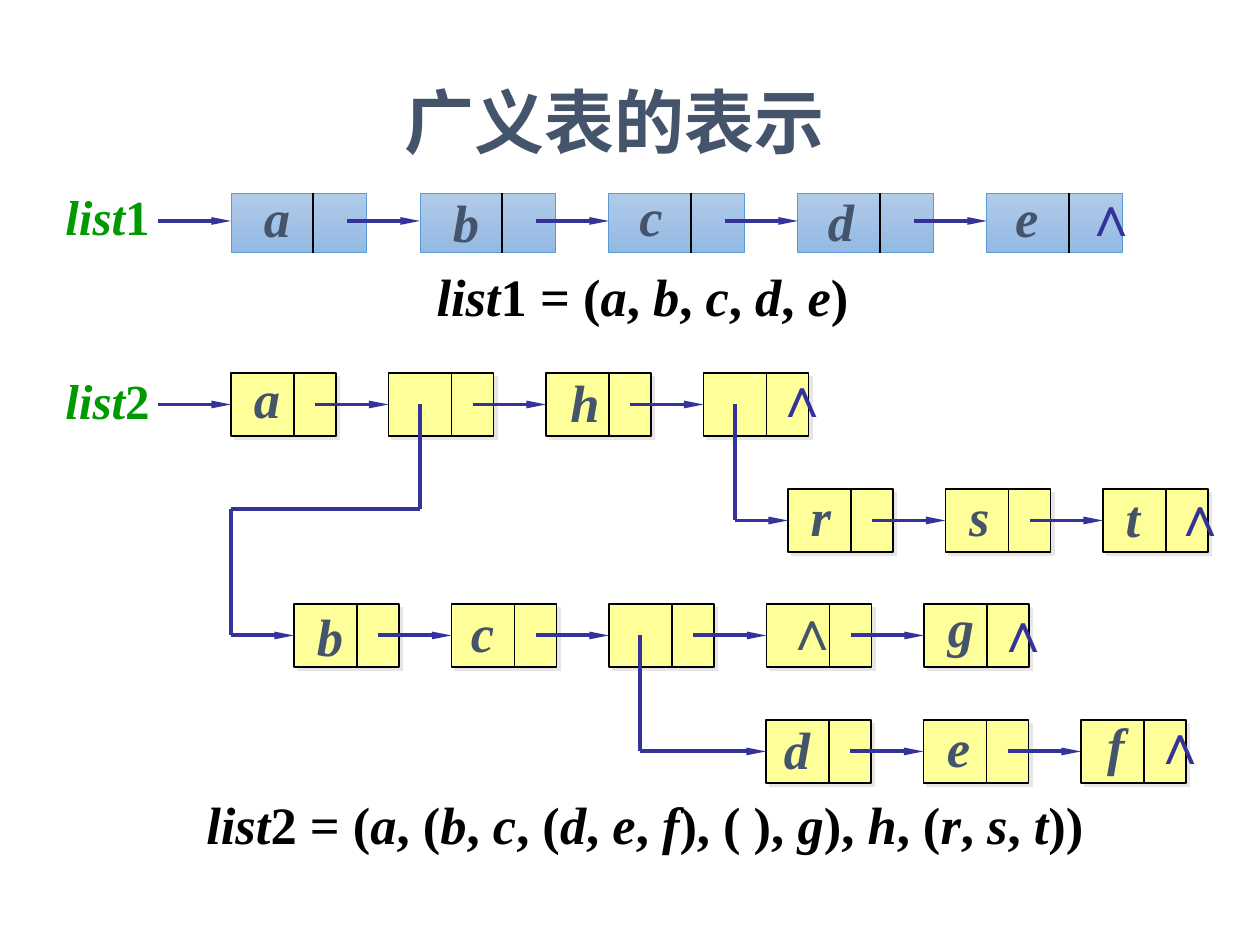
import itertools

import pptx
import pptx.dml.color
import pptx.enum.shapes
import pptx.enum.text
import pptx.oxml
import pptx.oxml.ns
import pptx.util

PX = 914400 // 126
SERIF, CJK = "Times New Roman", "Noto Sans CJK SC"
INK, SLATE, GREEN, NAVY = "000000", "44546A", "009900", "333399"
NIL = "∧"
ARROW_RUN = 73  # from inside one node to the next

TITLE = "广义表的表示"
# text, box, centred
FORMULAS = [
    ("list1 = (a, b, c, d, e)", (78, 258, 1129, 76), True),
    ("list2 = (a, (b, c, (d, e, f), ( ), g), h, (r, s, t))", (194, 786, 908, 76), False),
]
LABELS = [("list1", (53, 180, 110, 72)), ("list2", (53, 364, 110, 72))]

BLUE = dict(size=(136, 60), pitch=189, divider=82, arrow_y=28,
            fill=("B1CBE9", "93B9E4"), line="5B9BD5", line_pt=0.5, shadow=False)
YELLOW = dict(size=(105, 63), pitch=157.5, divider=63, arrow_y=31.5,
              fill=("FFFF99",), line=INK, line_pt=0.75, shadow=True)

# Each node holds its marks: (symbol, centre from node left, box top from node top)
# A branch runs from the parent node to where the row's first arrow starts.
CHAINS = [
    dict(look=BLUE, at=(231, 193), branch=[(158, 221)],
         nodes=[[("a", 46, -14)], [("b", 46, -9)], [("c", 42, -15)],
                [("d", 43, -10)], [("e", 40, -14), (NIL, 110, -19)]]),
    dict(look=YELLOW, at=(231, 373), branch=[(158, 404.5)],
         nodes=[[("a", 36, -13)], [], [("h", 38, -9)], [(NIL, 85, -18)]]),
    dict(look=YELLOW, at=(788, 489), branch=[(735, 404.5), (735, 520.5)],
         nodes=[[("r", 33, -11)], [("s", 34, -11)], [("t", 30, -10), (NIL, 83, -15)]]),
    dict(look=YELLOW, at=(294, 604),
         branch=[(420, 404.5), (420, 509), (231, 509), (231, 635.5)],
         nodes=[[("b", 36, -6)], [("c", 31, -10)], [], [(NIL, 32, -16)],
                [("g", 37, -15), (NIL, 85, -14)]]),
    dict(look=YELLOW, at=(766, 720), branch=[(640, 635.5), (640, 751.5)],
         nodes=[[("d", 31, -9)], [("e", 35, -11)], [("f", 35, -13), (NIL, 85, -18)]]),
]


def px(*lengths):
    return [pptx.util.Emu(round(n * PX)) for n in lengths]


def rgb(code):
    return pptx.dml.color.RGBColor.from_string(code)


def add_xml(parent, xml):
    parent.append(pptx.oxml.parse_xml(
        xml.replace(" ", f" {pptx.oxml.ns.nsdecls('a')} ", 1)))


def style(paragraph, size, color, name=SERIF):
    font = paragraph.font
    font.name, font.size, font.bold = name, pptx.util.Pt(size), True
    font.color.rgb = rgb(color)


def add_text(text, box, size, color, centred=False, wrap=False):
    """Letters are set in italics, everything else upright."""
    frame = slide.shapes.add_textbox(*px(*box)).text_frame
    frame.word_wrap = wrap
    paragraph = frame.paragraphs[0]
    style(paragraph, size, color)
    if centred:
        paragraph.alignment = pptx.enum.text.PP_ALIGN.CENTER
    for is_letter, part in itertools.groupby(text, str.isalpha):
        run = paragraph.add_run()
        run.text = "".join(part)
        run.font.italic = is_letter


def add_line(start, end, color=NAVY, width=2.25, arrow=False):
    line = slide.shapes.add_connector(
        pptx.enum.shapes.MSO_CONNECTOR.STRAIGHT, *px(*start, *end))
    line.line.color.rgb = rgb(color)
    line.line.width = pptx.util.Pt(width)
    if arrow:
        add_xml(line.line._get_or_add_ln(), '<a:tailEnd type="triangle" w="sm" len="lg"/>')
    add_xml(line._element.spPr, "<a:effectLst />")
    return line


def add_node(left, top, look):
    width, height = look["size"]
    node = slide.shapes.add_shape(
        pptx.enum.shapes.MSO_SHAPE.RECTANGLE, *px(left, top, width, height))
    if len(look["fill"]) == 1:
        node.fill.solid()
        node.fill.fore_color.rgb = rgb(look["fill"][0])
    else:
        node.fill.gradient()
        node.fill.gradient_angle = 270
        for stop, color in zip(node.fill.gradient_stops, look["fill"]):
            stop.color.rgb = rgb(color)
    node.line.color.rgb = rgb(look["line"])
    node.line.width = pptx.util.Pt(look["line_pt"])
    node.shadow.inherit = False
    if look["shadow"]:
        effects = node._element.spPr.find(pptx.oxml.ns.qn("a:effectLst"))
        add_xml(effects, '<a:outerShdw dist="35560" dir="2700000" algn="ctr" '
                         'rotWithShape="0"><a:srgbClr val="E7E6E6"/></a:outerShdw>')
    divider = left + look["divider"]
    add_line((divider, top), (divider, top + height), INK, 0.75)
    return node


def add_chain(look, at, branch, nodes):
    left, top = at
    arrow_y = top + look["arrow_y"]
    for start, end in zip(branch, branch[1:]):
        add_line(start, end)
    for i, marks in enumerate(nodes):
        x = left + i * look["pitch"]
        node = add_node(x, top, look)
        start = (x - ARROW_RUN, arrow_y) if i else branch[-1]
        arrow = add_line(start, (x, arrow_y), arrow=True)
        if look["arrow_y"] * 2 == look["size"][1]:
            arrow.end_connect(node, 1)
        for symbol, dx, dy in marks:
            closing = symbol == NIL and dx > look["divider"]
            add_text(symbol, (x + dx - 26, top + dy, 52, 76), 32 if symbol == NIL else 30,
                     NAVY if closing else SLATE, centred=True)


presentation = pptx.Presentation()
presentation.slide_width, presentation.slide_height = px(1260, 945)
slide = presentation.slides.add_slide(presentation.slide_layouts[5])

# Title
title = slide.shapes.title
title.left, title.top, title.width, title.height = px(392, 72, 525, 97)
title.text_frame.text = TITLE
title.text_frame.auto_size = pptx.enum.text.MSO_AUTO_SIZE.NONE
heading = title.text_frame.paragraphs[0]
heading.alignment = pptx.enum.text.PP_ALIGN.LEFT
style(heading, 40, SLATE, CJK)
add_xml(heading.font._element, f'<a:ea typeface="{CJK}"/>')

# Formulas and list names
for text, box, centred in FORMULAS:
    add_text(text, box, 30, INK, centred, wrap=True)
for text, box in LABELS:
    add_text(text, box, 28, GREEN)

# Linked lists
for chain in CHAINS:
    add_chain(**chain)

presentation.save("out.pptx")
